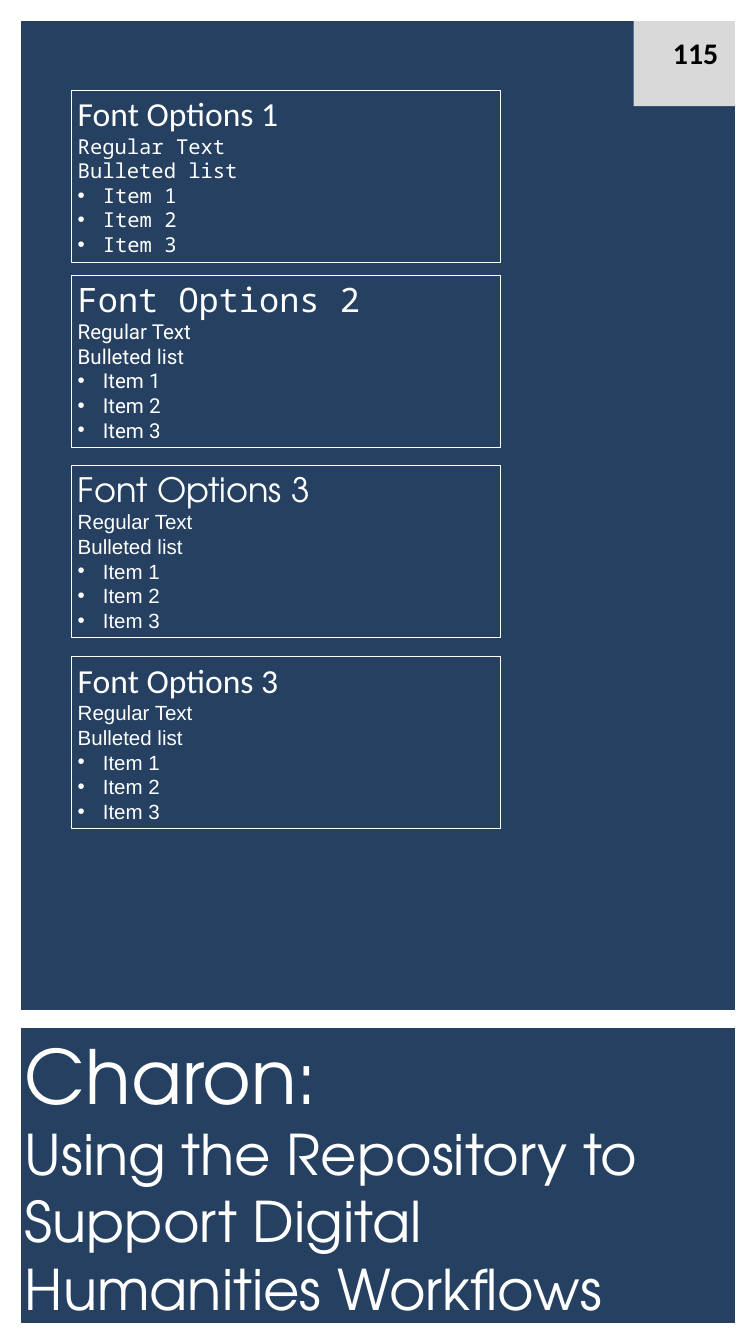
"""Build a tall poster slide with four font samples and a title panel."""
from lxml import etree
from pptx import Presentation, util as u
from pptx.dml.color import RGBColor
from pptx.enum import shapes, text
from pptx.oxml.ns import qn

THEME = {
    "navy": RGBColor(0x25, 0x40, 0x61), "white": RGBColor(0xFF, 0xFF, 0xFF),
    "grey": RGBColor(0xD9, 0xD9, 0xD9), "black": RGBColor(0, 0, 0),
    "number": u.Pt(32), "title": u.Pt(80), "subtitle": u.Pt(60),
    "heading": u.Pt(36), "body": u.Pt(22),
    "display": "TeX Gyre Adventor", "plain": "Calibri",
}


def add_rect(s, box, fill=None, line=None, width=0.75):
    sp = s.shapes.add_shape(shapes.MSO_SHAPE.RECTANGLE, *(u.Cm(v) for v in box))
    sp.shadow.inherit = False
    if fill is None:
        sp.fill.background()
    else:
        sp.fill.solid()
        sp.fill.fore_color.rgb = fill
    if line is None:
        sp.line.fill.background()
    else:
        sp.line.color.rgb = line
        sp.line.width = u.Pt(width)
    return sp


def write(sp, lines, color, align=text.PP_ALIGN.LEFT):
    tf = sp.text_frame
    frame = {"word_wrap": True, "vertical_anchor": text.MSO_ANCHOR.TOP,
             "auto_size": text.MSO_AUTO_SIZE.SHAPE_TO_FIT_TEXT}
    for key, value in frame.items():
        setattr(tf, key, value)
    for i, (words, style, bullet) in enumerate(lines):
        p = tf.add_paragraph() if i else tf.paragraphs[0]
        p.alignment = align
        r = p.add_run()
        r.text = words
        for key, value in style.items():
            setattr(r.font, key, value)
        r.font.color.rgb = color
        if bullet:
            ppr = p._p.get_or_add_pPr()
            ppr.set("marL", str(u.Cm(0.95)))
            ppr.set("indent", str(-u.Cm(0.95)))
            etree.SubElement(ppr, qn("a:buFont")).set("typeface", "Arial")
            etree.SubElement(ppr, qn("a:buChar")).set("char", "•")


prs = Presentation()
prs.slide_width, prs.slide_height = u.Cm(28.58), u.Cm(50.8)
s = prs.slides.add_slide(prs.slide_layouts[6])
s.background.fill.solid()
s.background.fill.fore_color.rgb = THEME["navy"]

sp = add_rect(s, (23.95, 0, 4.7, 4.01), THEME["grey"])
sp.text_frame.margin_top = u.Cm(1.32)
number = {"name": THEME["plain"], "size": THEME["number"], "bold": True}
write(sp, [("115", number, False)], THEME["black"], text.PP_ALIGN.CENTER)

sp = add_rect(s, (0.69, 38.81, 27.2, 11.38), line=THEME["white"])
write(sp, [
    ("Charon:", {"name": THEME["display"], "size": THEME["title"]}, False),
    ("Using the Repository to Support Digital Humanities Workflows",
     {"name": THEME["display"], "size": THEME["subtitle"]}, False),
], THEME["white"])

bars = [
    (0, 0, 0.76, 50.8),
    (27.81, 0, 0.76, 50.8),
    (0, 0, 28.58, 0.76),
    (0, 50.04, 28.58, 0.76),
    (0, 38.2, 28.58, 0.64),
]
for bar in bars:
    add_rect(s, bar, THEME["white"], THEME["white"], 2)

samples = [
    (3.4, "Font Options 1", THEME["plain"], "Noto Sans Mono"),
    (10.41, "Font Options 2", "Noto Sans Mono", "Roboto"),
    (17.6, "Font Options 3", THEME["display"], "Arial"),
    (24.82, "Font Options 3", THEME["plain"], "Arial"),
]
for top, heading, heading_font, body_font in samples:
    sp = add_rect(s, (2.69, top, 16.21, 6.5), line=THEME["white"])
    body = {"name": body_font, "size": THEME["body"]}
    lines = [(heading, {"name": heading_font, "size": THEME["heading"]}, False)]
    lines += [(words, body, False) for words in ("Regular Text", "Bulleted list")]
    lines += [(f"Item {n}", body, True) for n in range(1, 4)]
    write(sp, lines, THEME["white"])

prs.save("out.pptx")
